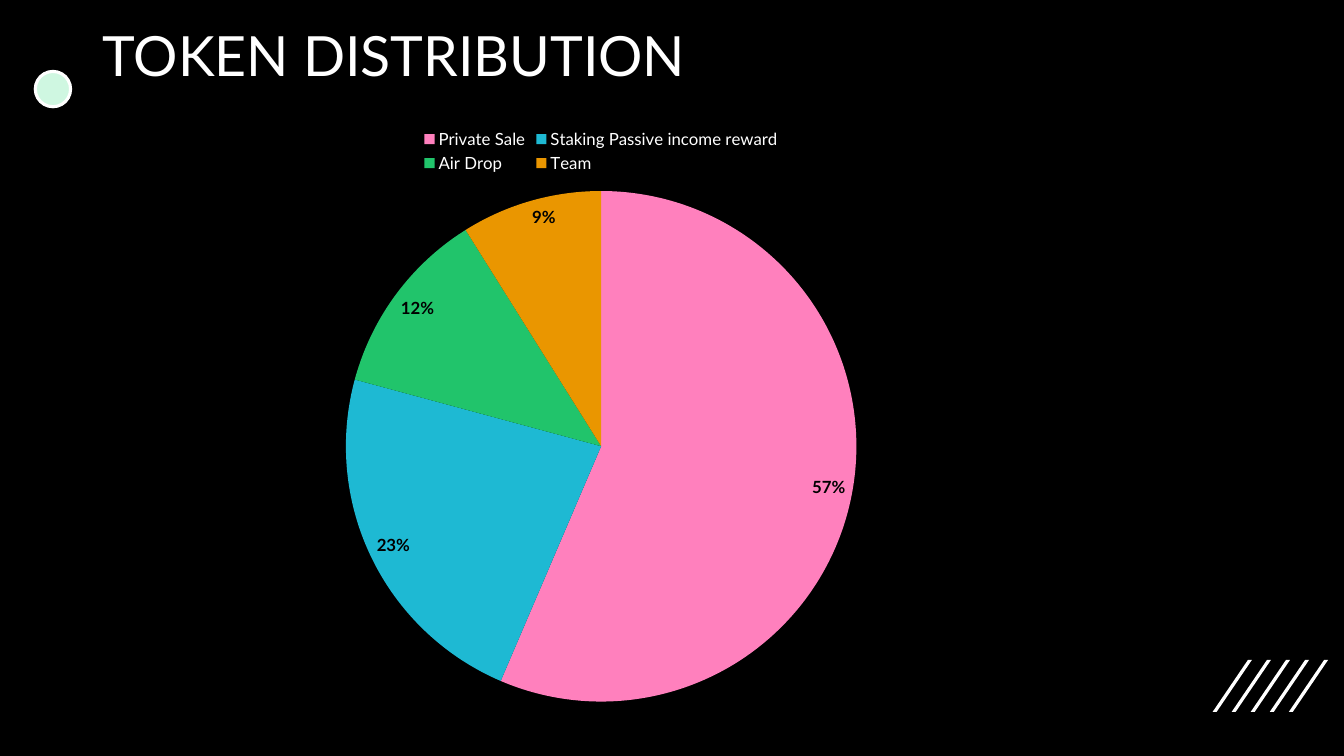
import pptx
import pptx.chart.data
import pptx.dml.color
import pptx.enum.chart
import pptx.enum.shapes
import pptx.enum.text
import pptx.util
from pptx.util import Cm, Pt

FONT = "Lato"
WHITE = "FFFFFF"


def paint(fill, color):
    """Give a fill one solid colour, written as a hex string."""
    fill.solid()
    fill.fore_color.rgb = pptx.dml.color.RGBColor.from_string(color)


def style_font(font, size, color, bold=False):
    font.name = FONT
    font.size = Pt(size)
    font.bold = bold
    paint(font.fill, color)


presentation = pptx.Presentation()
presentation.slide_width = Cm(33.87)
presentation.slide_height = Cm(19.05)
slide = presentation.slides.add_slide(presentation.slide_layouts[6])
paint(slide.background.fill, "000000")

# Slanted stripes in the lower right corner
stripe_left, stripe_top, stripe_bottom = 30.56, 16.63, 17.94
stripe_step, stripe_width, stripe_slant = 0.48, 0.1, 0.89
for index in range(5):
    left = stripe_left + index * stripe_step
    outline = slide.shapes.build_freeform(Cm(left + stripe_width), Cm(stripe_bottom))
    outline.add_line_segments([
        (Cm(left), Cm(stripe_bottom)),
        (Cm(left + stripe_slant), Cm(stripe_top)),
        (Cm(left + stripe_slant + stripe_width), Cm(stripe_top)),
    ], close=True)
    stripe = outline.convert_to_shape()
    stripe.shadow.inherit = False
    paint(stripe.fill, WHITE)
    stripe.line.fill.background()

# Title and its dot
dot = slide.shapes.add_shape(
    pptx.enum.shapes.MSO_SHAPE.OVAL, Cm(0.89), Cm(1.8), Cm(0.89), Cm(0.89))
dot.shadow.inherit = False
paint(dot.fill, "CFF7E1")
paint(dot.line.fill, WHITE)
dot.line.width = Pt(2.25)

title = slide.shapes.add_textbox(Cm(2.34), Cm(0.6), Cm(29.21), Cm(3.06)).text_frame
title.word_wrap = True
title.vertical_anchor = pptx.enum.text.MSO_ANCHOR.TOP
title.text = "TOKEN DISTRIBUTION"
title.paragraphs[0].line_spacing = 0.9
style_font(title.paragraphs[0].runs[0].font, 39.6, WHITE)

# Token shares
shares = [
    ("Private Sale", 57, "FF80BD"),
    ("Staking Passive income reward", 23, "1EB9D3"),
    ("Air Drop", 12, "21C46B"),
    ("Team", 9, "EA9600"),
]
share_data = pptx.chart.data.CategoryChartData()
share_data.categories = [name for name, percent, color in shares]
share_data.add_series("Series 1", [percent for name, percent, color in shares])
pie = slide.shapes.add_chart(
    pptx.enum.chart.XL_CHART_TYPE.PIE,
    Cm(3.86), Cm(2.97), Cm(22.58), Cm(15.06), share_data).chart
style_font(pie.font, 10, WHITE)
pie.has_title = False
pie.has_legend = True
pie.legend.position = pptx.enum.chart.XL_LEGEND_POSITION.TOP
pie.legend.include_in_layout = False
style_font(pie.legend.font, 12, WHITE)

plot = pie.plots[0]
plot.vary_by_categories = True
for index, (name, percent, color) in enumerate(shares):
    paint(plot.series[0].points[index].format.fill, color)

plot.has_data_labels = True
labels = plot.data_labels
labels.show_value = True
labels.number_format = '0"%"'
labels.number_format_is_linked = False
labels.position = pptx.enum.chart.XL_LABEL_POSITION.INSIDE_END
style_font(labels.font, 12, "000000", bold=True)

presentation.save("out.pptx")
